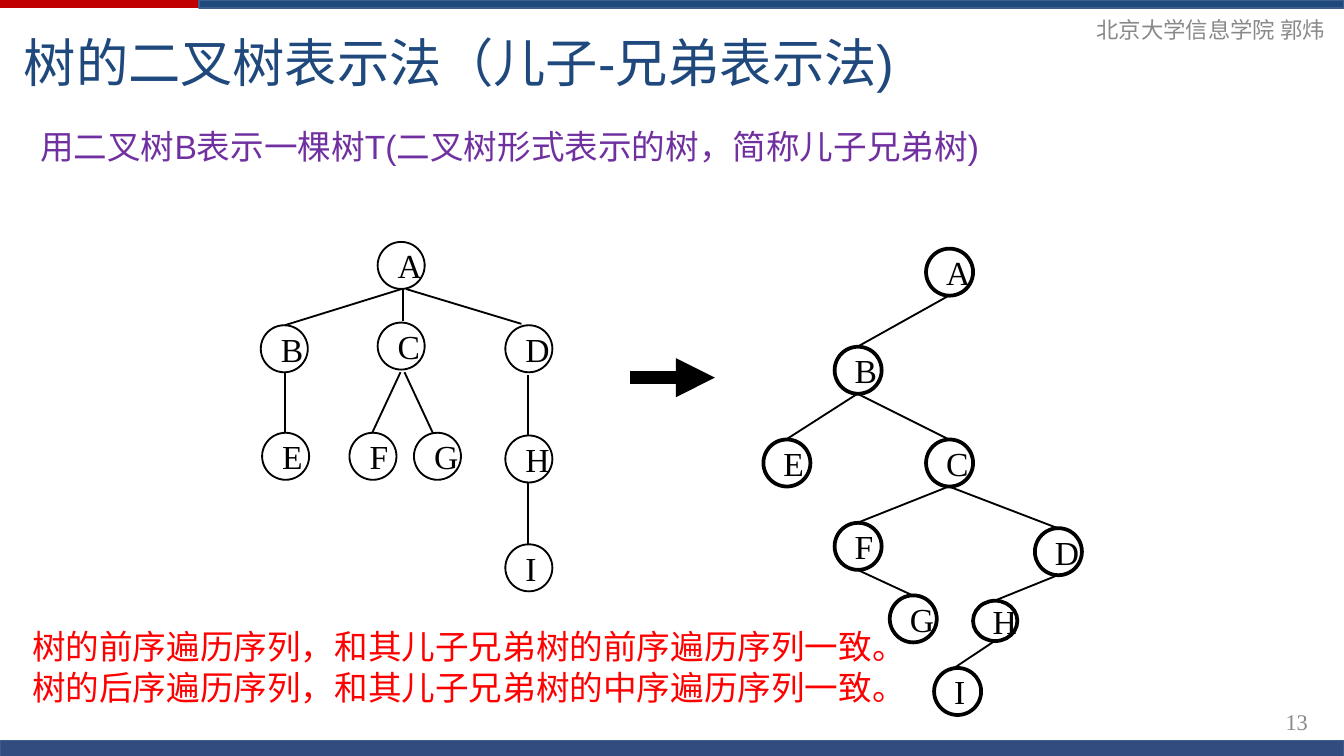
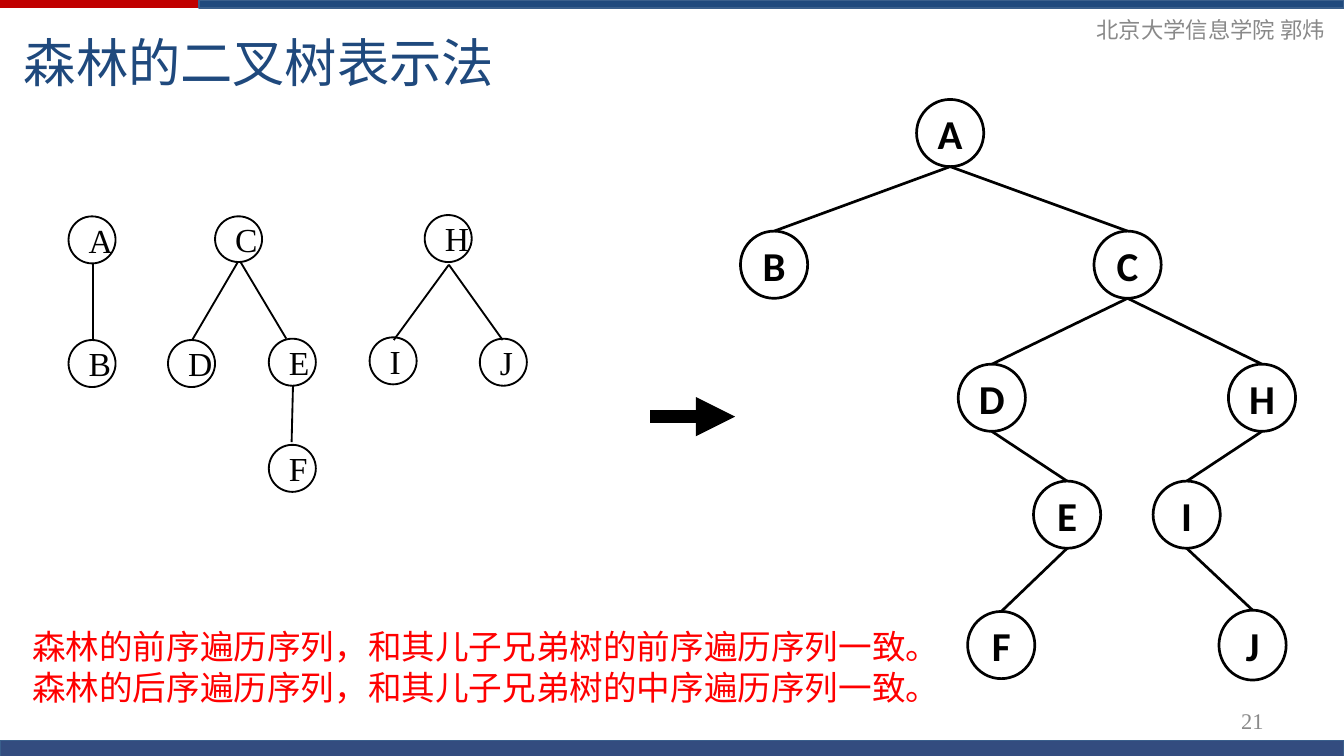
"""Build two slides that turn trees and forests into child-sibling binary trees."""
from typing import NamedTuple, Optional

from lxml import etree
from pptx import Presentation
from pptx import util as u
from pptx.dml.color import RGBColor
from pptx.enum import shapes, text
from pptx.oxml.ns import qn

PX = 9144
WIDTH = 1000
BLACK, WHITE, RED = "000000", "FFFFFF", "FF0000"
BLUE, NAVY, EDGE, CRIMSON = "1F497D", "002060", "3A5F8C", "C00000"
GREY, PURPLE = "898989", "7030A0"
SERIF, SANS, ROUND, CJK = "Times New Roman", "Arial", "Calibri", "Noto Sans CJK SC"
LEFT, RIGHT = text.PP_ALIGN.LEFT, text.PP_ALIGN.RIGHT
CENTER, JUSTIFY = text.PP_ALIGN.CENTER, text.PP_ALIGN.JUSTIFY
TOP, MIDDLE = text.MSO_ANCHOR.TOP, text.MSO_ANCHOR.MIDDLE


class Box(NamedTuple):
    x: int
    y: int
    w: int
    h: int


class Band(NamedTuple):
    box: Box
    fill: str
    line: Optional[str] = EDGE
    alpha: int = 100


class TextStyle(NamedTuple):
    font: str
    size: int
    color: str
    align: text.PP_ALIGN = LEFT
    anchor: text.MSO_ANCHOR = MIDDLE
    bold: bool = False
    indent: int = 0


class NodeStyle(NamedTuple):
    size: int
    outline: float
    edge: float
    label: TextStyle
    inset: Optional[int] = None
    fill: Optional[str] = None


class Node(NamedTuple):
    name: str
    x: int
    y: int
    w: Optional[int] = None
    h: Optional[int] = None


class Edge(NamedTuple):
    parent: str
    child: str
    start: tuple[int, int] = (0, 0)
    end: tuple[int, int] = (0, 0)


class Tree(NamedTuple):
    style: NodeStyle
    nodes: list[Node]
    edges: list[Edge]


class Page(NamedTuple):
    title: str
    number: str
    number_box: Box
    trees: list[Tree]
    arrow: tuple[int, int]
    rules: list[str]
    subtitle: str = ""


BANDS = [
    Band(Box(0, 0, WIDTH, 6), CRIMSON, None),
    Band(Box(148, 0, 852, 6), BLUE),
    Band(Box(0, 551, WIDTH, 12), NAVY, alpha=80),
]
TITLE = TextStyle(SANS, 28, BLUE)
SUBTITLE = TextStyle(SANS, 18, PURPLE, anchor=TOP)
SMALL = TextStyle(SERIF, 12, GREY, RIGHT)
RULES = TextStyle(CJK, 18, RED, JUSTIFY, TOP, indent=29)
LABEL = TextStyle(SERIF, 18, BLACK, CENTER)
BOLD_LABEL = TextStyle(ROUND, 22, BLACK, CENTER, bold=True)
THIN = NodeStyle(35, 1, 1, LABEL)
THICK = NodeStyle(35, 2, 1, LABEL)
LARGE = NodeStyle(50, 1.44, 1.44, BOLD_LABEL, 0, WHITE)


def px(n: int) -> u.Emu:
    return u.Emu(n * PX)


def rgb(value: str) -> RGBColor:
    return RGBColor.from_string(value)


def links(pairs: str) -> list[Edge]:
    return [Edge(*pair) for pair in pairs.split()]


def write(sp, lines: list[str], style: TextStyle) -> None:
    tf = sp.text_frame
    tf.word_wrap = True
    tf.vertical_anchor = style.anchor
    tf.text = "\n".join(lines)
    for p in tf.paragraphs:
        p.alignment = style.align
        if style.indent:
            pPr = p._p.get_or_add_pPr()
            pPr.set("marL", "0")
            pPr.set("indent", str(px(style.indent)))
        for r in p.runs:
            r.font.name = style.font
            r.font.size = u.Pt(style.size)
            r.font.bold = style.bold
            r.font.color.rgb = rgb(style.color)
            ea = etree.SubElement(r._r.get_or_add_rPr(), qn("a:ea"))
            ea.set("typeface", CJK)


def add_text(s, box: Box, lines: list[str], style: TextStyle):
    sp = s.shapes.add_textbox(*map(px, box))
    write(sp, lines, style)
    return sp


def add_preset(s, kind, box: Box, fill: Optional[str], line: Optional[str], width: float):
    sp = s.shapes.add_shape(kind, *map(px, box))
    sp.shadow.inherit = False
    if fill:
        sp.fill.solid()
        sp.fill.fore_color.rgb = rgb(fill)
    else:
        sp.fill.background()
    if line:
        sp.line.color.rgb = rgb(line)
        sp.line.width = u.Pt(width)
    else:
        sp.line.fill.background()
    return sp


def add_band(s, band: Band) -> None:
    sp = add_preset(s, shapes.MSO_SHAPE.RECTANGLE, band.box, band.fill, band.line, 0)
    if band.alpha < 100:
        clr = sp._element.spPr.find(qn("a:solidFill")).find(qn("a:srgbClr"))
        etree.SubElement(clr, qn("a:alpha")).set("val", str(band.alpha * 1000))


def add_line(s, x1: int, y1: int, x2: int, y2: int, width: float):
    c = s.shapes.add_connector(shapes.MSO_CONNECTOR.STRAIGHT, *map(px, (x1, y1, x2, y2)))
    c.line.color.rgb = rgb(BLACK)
    c.line.width = u.Pt(width)
    etree.SubElement(c._element.spPr, qn("a:effectLst"))
    return c


def add_arrow(s, x: int, y: int) -> None:
    c = add_line(s, x, y, x + 63, y, 7)
    etree.SubElement(c.line._get_or_add_ln(), qn("a:tailEnd")).set("type", "triangle")


def add_tree(s, tree: Tree) -> None:
    style = tree.style
    boxes = {n.name: Box(n.x, n.y, n.w or style.size, n.h or style.size) for n in tree.nodes}
    for edge in tree.edges:
        a, b = boxes[edge.parent], boxes[edge.child]
        (dx1, dy1), (dx2, dy2) = edge.start, edge.end
        add_line(s, a.x + a.w // 2 + dx1, a.y + a.h + dy1,
                 b.x + b.w // 2 + dx2, b.y + dy2, style.edge)
    for name, box in boxes.items():
        sp = add_preset(s, shapes.MSO_SHAPE.OVAL, box, style.fill, BLACK, style.outline)
        write(sp, [name], style.label)
        if style.inset is not None:
            tf = sp.text_frame
            tf.margin_left = tf.margin_right = px(style.inset)
            tf.margin_top = tf.margin_bottom = px(style.inset)


def add_page(prs, page: Page) -> None:
    s = prs.slides.add_slide(prs.slide_layouts[6])
    for band in BANDS:
        add_band(s, band)
    add_text(s, Box(763, 7, 233, 30), ["北京大学信息学院 郭炜"], SMALL)
    add_text(s, Box(8, 15, 992, 62), [page.title], TITLE)
    add_text(s, page.number_box, [page.number], SMALL)
    if page.subtitle:
        sp = add_text(s, Box(20, 30, 875, 131), [page.subtitle], SUBTITLE)
        sp.text_frame.margin_top = px(64)
    for tree in page.trees:
        add_tree(s, tree)
    add_arrow(s, *page.arrow)
    add_text(s, Box(-15, 461, 733, 71), page.rules, RULES)


def rules(subject: str) -> list[str]:
    orders = (("前", "前"), ("后", "中"))
    return [f"{subject}的{a}序遍历序列，和其儿子兄弟树的{b}序遍历序列一致。" for a, b in orders]


GENERAL_TREE = Tree(
    THIN,
    [Node("A", 281, 180), Node("B", 194, 242), Node("C", 281, 240),
     Node("D", 376, 242), Node("E", 195, 322), Node("F", 260, 322),
     Node("G", 308, 322), Node("H", 376, 324), Node("I", 376, 405)],
    links("HI") + [
        Edge("A", "B", (1, 0), (1, 0)), Edge("B", "E", (1, 0)),
        Edge("A", "C", (2, 0), (2, -1)), Edge("A", "D", (4, 0), (-5, -1)),
        Edge("C", "F", (0, 2)), Edge("C", "G", (3, 2), (-3, 0)), Edge("D", "H", (0, 2))],
)
TREE_AS_BINARY = Tree(
    THICK,
    [Node("A", 689, 185), Node("B", 621, 258), Node("C", 689, 327),
     Node("D", 770, 393), Node("E", 568, 327), Node("F", 621, 389),
     Node("G", 662, 443), Node("H", 724, 447, 33, 30), Node("I", 695, 497)],
    links("AB BE BC CF CD FG DH") + [Edge("H", "I", (0, 0), (-5, 2))],
)
FOREST = Tree(
    THIN,
    [Node("A", 51, 161), Node("B", 51, 253), Node("C", 160, 161, h=34),
     Node("D", 125, 253), Node("E", 200, 252), Node("F", 200, 331),
     Node("H", 316, 160), Node("I", 275, 251), Node("J", 357, 252)],
    [Edge("A", "B", (1, 0), (1, 0)), Edge("C", "D", (0, 0), (1, 0)),
     Edge("C", "E", (2, 0), (-4, 0)), Edge("E", "F", (1, 0), (0, -2)),
     Edge("H", "I", (1, 2), (1, 2)), Edge("H", "J", (1, 2), (0, 1))],
)
FOREST_AS_BINARY = Tree(
    LARGE,
    [Node("A", 682, 74), Node("B", 551, 172), Node("C", 814, 172),
     Node("D", 713, 271), Node("H", 914, 271), Node("E", 769, 358),
     Node("I", 858, 358), Node("F", 720, 455), Node("J", 907, 454, h=52)],
    links("AB AC CD CH DE EF HI IJ"),
)
PAGES = [
    Page("树的二叉树表示法（儿子-兄弟表示法)", "13", Box(848, 522, 135, 30),
         [TREE_AS_BINARY, GENERAL_TREE], (469, 281), rules("树"),
         "用二叉树B表示一棵树T(二叉树形式表示的树，简称儿子兄弟树)"),
    Page("森林的二叉树表示法", "21", Box(717, 521, 233, 30),
         [FOREST, FOREST_AS_BINARY], (484, 310), rules("森林")),
]


def main() -> None:
    prs = Presentation()
    prs.slide_width = px(WIDTH)
    prs.slide_height = u.Emu(px(WIDTH) * 9 // 16)
    for page in PAGES:
        add_page(prs, page)
    prs.save("out.pptx")


if __name__ == "__main__":
    main()
